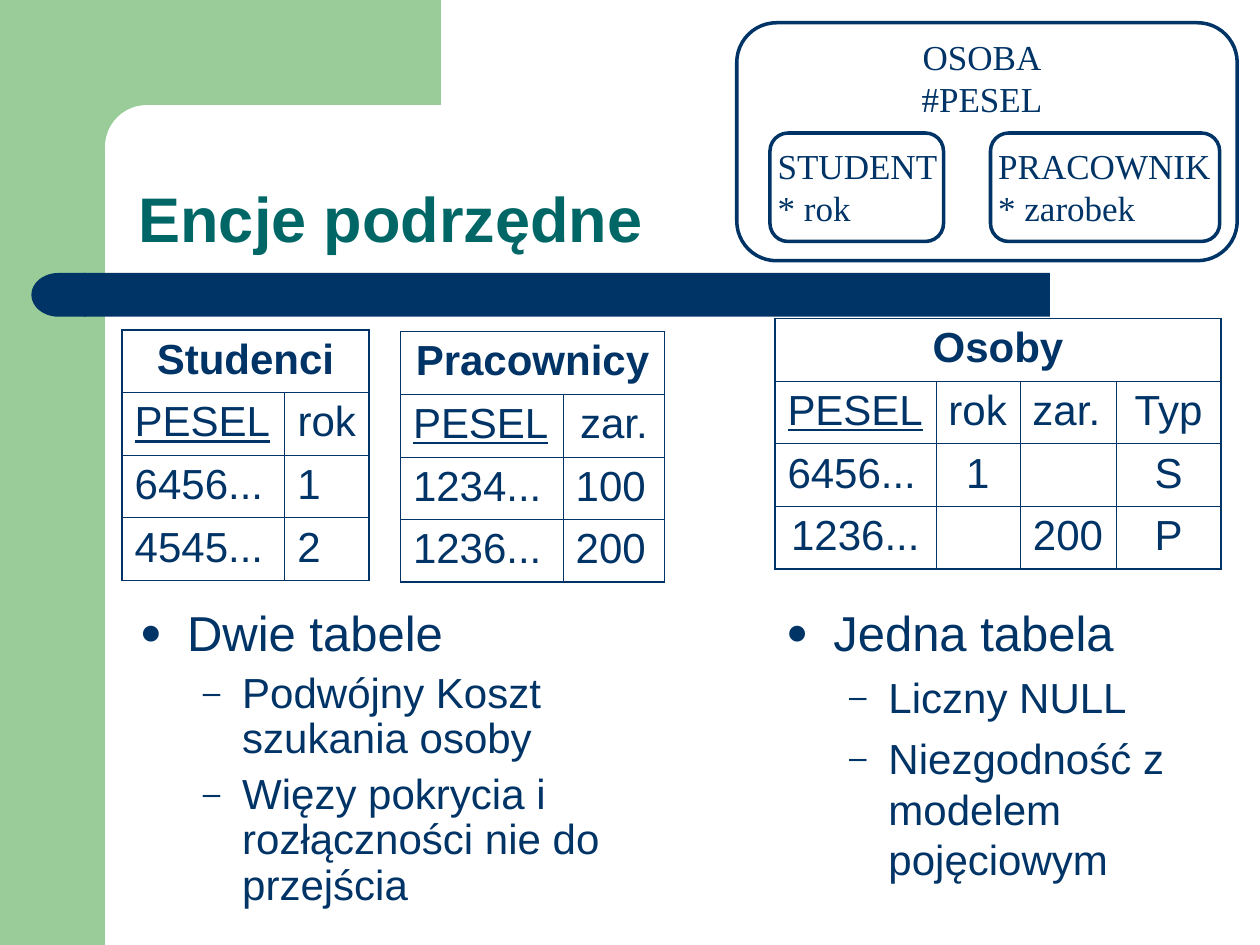
from dataclasses import dataclass

from lxml.etree import SubElement
from pptx import Presentation
from pptx.dml.color import RGBColor
from pptx.enum.shapes import MSO_SHAPE
from pptx.enum.text import MSO_ANCHOR, MSO_AUTO_SIZE, PP_ALIGN
from pptx.oxml.ns import qn
from pptx.util import Pt

NAVY = RGBColor(0x00, 0x33, 0x66)
TEAL = RGBColor(0x00, 0x66, 0x66)
GREEN = RGBColor(0x99, 0xCC, 0x99)
WHITE = RGBColor(0xFF, 0xFF, 0xFF)

ROW_HEIGHT = 35.82
THICK, THIN = 1.08, 0.45
ALIGN = {"l": PP_ALIGN.LEFT, "c": PP_ALIGN.CENTER}


@dataclass
class Box:
    left: float
    top: float
    width: float
    height: float

    def lengths(self):
        return Pt(self.left), Pt(self.top), Pt(self.width), Pt(self.height)


@dataclass
class Entity:
    box: Box
    lines: list[str]
    align: str
    margins: tuple[float, float, float, float]  # left, top, right, bottom


@dataclass
class Relation:
    left: float
    top: float
    title: str
    widths: list[float]
    rows: list[list[str]]  # column names first
    aligns: list[str]  # one letter per cell, one string per row


@dataclass
class BulletList:
    box: Box
    items: list[str]  # the first is the heading
    spacing: float


DECORATION = [
    (MSO_SHAPE.RECTANGLE, Box(0, 0, 60, 540), GREEN, None),
    (MSO_SHAPE.RECTANGLE, Box(54, 0, 198, 84), GREEN, None),
    (MSO_SHAPE.ROUNDED_RECTANGLE, Box(60, 60, 402, 48), WHITE, 0.5),
    (MSO_SHAPE.ROUNDED_RECTANGLE, Box(48, 156, 552, 25), NAVY, 0),
    (MSO_SHAPE.FLOWCHART_DELAY, Box(18, 156, 31, 25), NAVY, None),
]

ENTITIES = [
    Entity(Box(421, 13, 286, 136), ["OSOBA", "#PESEL"], "c", (1.4, 0.7, 7.2, 0.7)),
    Entity(Box(440, 76, 99.2, 62), ["STUDENT", "* rok"], "l", (1.4, 3.6, 1.4, 3.6)),
    Entity(Box(566, 76, 131, 62), ["PRACOWNIK", "* zarobek"], "l", (1.4, 3.6, 1.4, 3.6)),
]

RELATIONS = [
    Relation(69.8, 188.5, "Studenci", [93, 48],
             [["PESEL", "rok"], ["6456...", "1"], ["4545...", "2"]],
             ["lc", "ll", "ll"]),
    Relation(442.8, 182, "Osoby", [92, 48, 55, 60],
             [["PESEL", "rok", "zar.", "Typ"],
              ["6456...", "1", "", "S"],
              ["1236...", "", "200", "P"]],
             ["lllc", "lclc", "cccc"]),
    Relation(228.8, 189.5, "Pracownicy", [93, 58],
             [["PESEL", "zar."], ["1234...", "100"], ["1236...", "200"]],
             ["lc", "ll", "ll"]),
]

LISTS = [
    BulletList(Box(72.7, 344.2, 292.3, 181.4),
               ["Dwie tabele", "Podwójny Koszt szukania osoby",
                "Więzy pokrycia i rozłączności nie do przejścia"], 0.9),
    BulletList(Box(442, 340.6, 258.5, 181.4),
               ["Jedna tabela", "Liczny NULL", "Niezgodność z modelem pojęciowym"], 1.0),
]


def style(p, size: float, color: RGBColor, name: str = "Arial", bold: bool = False):
    p.font.size = Pt(size)
    p.font.name = name
    p.font.bold = bold
    p.font.color.rgb = color


def place(sp, box: Box):
    sp.left, sp.top, sp.width, sp.height = box.lengths()


def add_block(shapes, kind, box: Box, fill: RGBColor, adj: float | None = None):
    sp = shapes.add_shape(kind, *box.lengths())
    sp.shadow.inherit = False
    sp.fill.solid()
    sp.fill.fore_color.rgb = fill
    sp.line.fill.background()
    if adj is not None:
        sp.adjustments[0] = adj
    return sp


def add_entity(shapes, entity: Entity):
    sp = add_block(shapes, MSO_SHAPE.ROUNDED_RECTANGLE, entity.box, WHITE, 0.167)
    sp.line.color.rgb = NAVY
    sp.line.width = Pt(2)
    tf = sp.text_frame
    tf.word_wrap = False
    tf.vertical_anchor = MSO_ANCHOR.TOP
    tf.margin_left, tf.margin_top, tf.margin_right, tf.margin_bottom = map(Pt, entity.margins)
    tf.text = "\n".join(entity.lines)
    for p in tf.paragraphs:
        p.alignment = ALIGN[entity.align]
        style(p, 20, NAVY, "Times New Roman")


def set_borders(cell, widths: dict[str, float]):
    tc_pr = cell._tc.get_or_add_tcPr()
    for index, (side, width) in enumerate(widths.items()):
        ln = SubElement(tc_pr, qn(f"a:ln{side}"), w=str(Pt(width)))
        fill = SubElement(ln, qn("a:solidFill"))
        SubElement(fill, qn("a:srgbClr"), val=str(NAVY))
        tc_pr.insert(index, ln)  # borders come before the fill


def add_relation(shapes, relation: Relation):
    columns = len(relation.widths)
    rows = [[relation.title] + [""] * (columns - 1)] + relation.rows
    aligns = ["c" * columns] + relation.aligns
    box = Box(relation.left, relation.top, sum(relation.widths), ROW_HEIGHT * len(rows))
    table = shapes.add_table(len(rows), columns, *box.lengths()).table
    table.first_row = table.horz_banding = False
    for column, width in zip(table.columns, relation.widths):
        column.width = Pt(width)
    table.cell(0, 0).merge(table.cell(0, columns - 1))

    for i, row in enumerate(rows):
        for j, text in enumerate(row):
            cell = table.cell(i, j)
            cell.fill.background()
            set_borders(cell, {
                "L": THICK if j == 0 else THIN,
                "R": THICK if j == columns - 1 or i == 0 else THIN,
                "T": THICK if i == 0 else THIN,
                "B": THICK if i == len(rows) - 1 else THIN,
            })
            cell.text = text
            p = cell.text_frame.paragraphs[0]
            p.alignment = ALIGN[aligns[i][j]]
            p.space_before = Pt(6)
            style(p, 24, NAVY, bold=i == 0)
            if text == "PESEL":  # primary key
                p.font.underline = True


def add_bullet(p, char: str, left: float, hanging: float):
    p_pr = p._p.get_or_add_pPr()
    p_pr.set("marL", str(Pt(left)))
    p_pr.set("indent", str(-Pt(hanging)))
    color = SubElement(p_pr, qn("a:buClr"))
    SubElement(color, qn("a:srgbClr"), val=str(NAVY))
    SubElement(p_pr, qn("a:buSzPct"), val="75000")
    SubElement(p_pr, qn("a:buFont"), typeface="Arial")
    SubElement(p_pr, qn("a:buChar"), char=char)


def fill_list(sp, content: BulletList):
    place(sp, content.box)
    tf = sp.text_frame
    tf.auto_size = MSO_AUTO_SIZE.NONE
    tf.text = "\n".join(content.items)
    for i, p in enumerate(tf.paragraphs):
        p.level = min(i, 1)
        p.line_spacing = content.spacing
        p.space_before = Pt(6 if i else 7)
        add_bullet(p, *(("–", 58.5, 22.5) if i else ("●", 27, 27)))
        style(p, 24 if i else 28, NAVY)


def main():
    prs = Presentation()
    prs.slide_width, prs.slide_height = Pt(720), Pt(540)
    s = prs.slides.add_slide(prs.slide_layouts[3])
    title, *bodies = [sp for sp in s.placeholders if sp.placeholder_format.idx < 3]

    # Background decoration, with the placeholders raised above it
    for block in DECORATION:
        sp = add_block(s.shapes, *block)
    sp._element.spPr.xfrm.set("flipH", "1")  # round end of the bar faces left
    for placeholder in (title, *bodies):
        s.shapes._spTree.append(placeholder._element)

    # Title
    place(title, Box(72, 60, 630, 90))
    tf = title.text_frame
    tf.auto_size = MSO_AUTO_SIZE.NONE
    tf.vertical_anchor = MSO_ANCHOR.BOTTOM
    tf.text = "Encje podrzędne"
    p = tf.paragraphs[0]
    p.alignment = PP_ALIGN.LEFT
    p.line_spacing = 0.9
    style(p, 36, TEAL, bold=True)

    # Entity diagram, tables and comparison lists
    for entity in ENTITIES:
        add_entity(s.shapes, entity)
    for relation in RELATIONS:
        add_relation(s.shapes, relation)
    for body, content in zip(bodies, LISTS):
        fill_list(body, content)

    prs.save("out.pptx")


if __name__ == "__main__":
    main()
